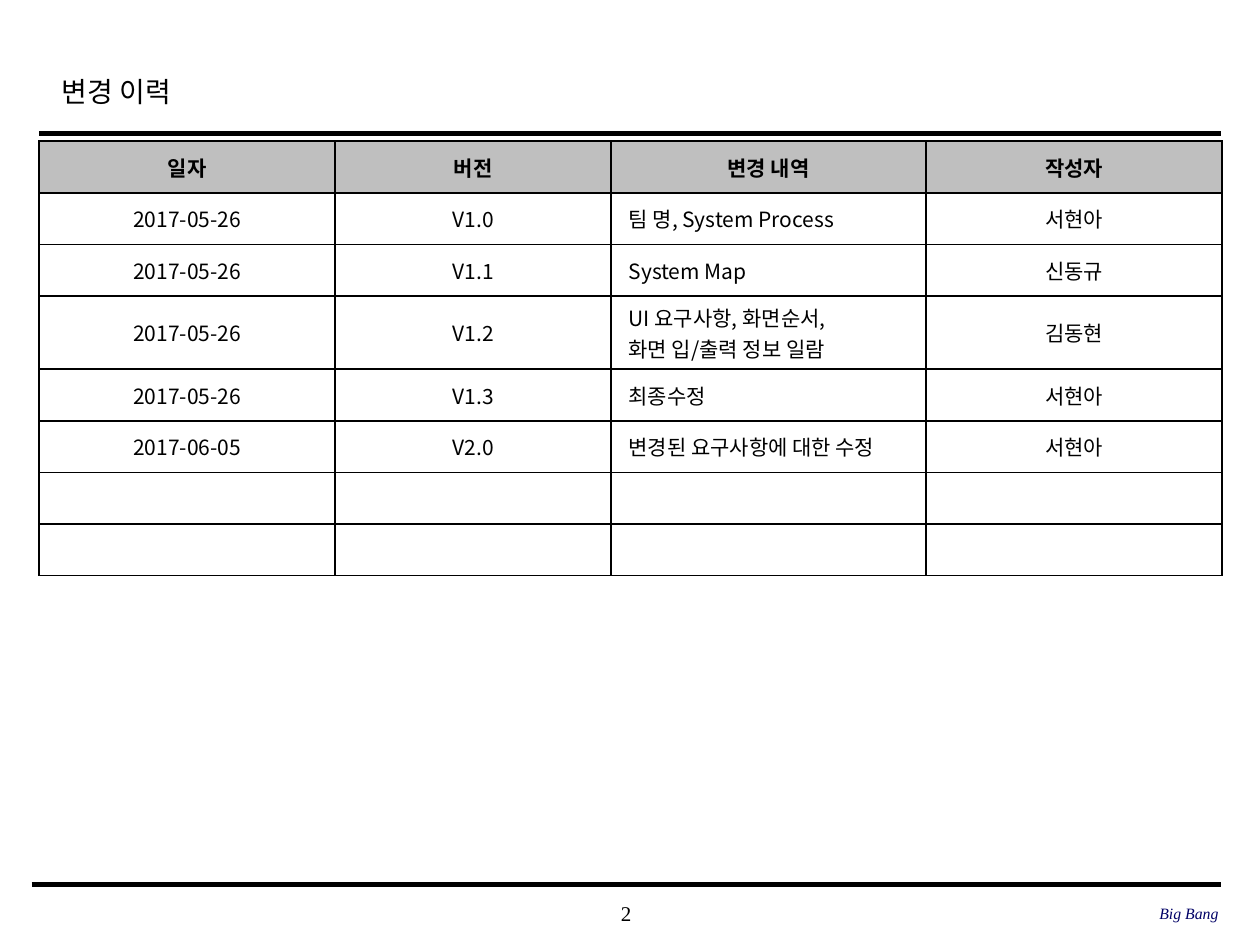
from lxml.etree import SubElement
from pptx import Presentation
from pptx.dml.color import RGBColor
from pptx.enum.shapes import MSO_CONNECTOR
from pptx.enum.text import MSO_ANCHOR, PP_ALIGN
from pptx.oxml.ns import qn
from pptx.util import Inches, Pt

BLACK = RGBColor(0x00, 0x00, 0x00)
WHITE = RGBColor(0xFF, 0xFF, 0xFF)
HEADER_GRAY = RGBColor(0xBF, 0xBF, 0xBF)
TEAM_NAVY = RGBColor(0x00, 0x00, 0x66)
SERIF = "Times New Roman"
KOREAN = "Noto Sans CJK KR"

COLUMN_WIDTHS = (2.35, 2.19, 2.5, 2.35)
ROW_HEIGHT = 0.41
TWO_LINE_HEIGHT = 0.58
DETAIL_COLUMN = 2
REVISIONS = (
    ("일자", "버전", "변경 내역", "작성자"),
    ("2017-05-26", "V1.0", "팀 명, System Process", "서현아"),
    ("2017-05-26", "V1.1", "System Map", "신동규"),
    ("2017-05-26", "V1.2", "UI 요구사항, 화면순서,\n화면 입/출력 정보 일람", "김동현"),
    ("2017-05-26", "V1.3", "최종수정", "서현아"),
    ("2017-06-05", "V2.0", "변경된 요구사항에 대한 수정", "서현아"),
    ("",) * 4,
    ("",) * 4,
)


def write_text(frame, text, size=12, font=SERIF, color=BLACK, bold=False,
               italic=False, align=PP_ALIGN.LEFT, spacing=None):
    frame.word_wrap = True
    frame.text = text
    for paragraph in frame.paragraphs:
        paragraph.alignment = align
        paragraph.line_spacing = spacing
        for run in paragraph.runs:
            run.font.size = Pt(size)
            run.font.name = font
            run.font.color.rgb = color
            run.font.bold = bold
            run.font.italic = italic
            SubElement(run.font._element, qn("a:ea"), typeface=KOREAN)


def add_title(slide, text):
    title = slide.shapes.title
    title.left, title.top = Inches(0.39), Inches(0.45)
    title.width, title.height = Inches(7.55), Inches(0.5)
    write_text(title.text_frame, text, size=16, spacing=1.2)
    title.text_frame.vertical_anchor = MSO_ANCHOR.MIDDLE


def add_rule(slide, left, right, y, weight):
    rule = slide.shapes.add_connector(
        MSO_CONNECTOR.STRAIGHT, Inches(left), Inches(y), Inches(right), Inches(y))
    rule.line.color.rgb = BLACK
    rule.line.width = Pt(weight)
    SubElement(rule._element.spPr, qn("a:effectLst"))


def add_footer(slide, left, top, width, height, text, **text_format):
    footer = slide.shapes.add_textbox(
        Inches(left), Inches(top), Inches(width), Inches(height))
    frame = footer.text_frame
    frame.margin_left = frame.margin_right = 0
    frame.margin_top = frame.margin_bottom = 0
    frame.vertical_anchor = MSO_ANCHOR.MIDDLE
    write_text(frame, text, **text_format)


def add_borders(cell):
    properties = cell._tc.get_or_add_tcPr()
    for position, side in enumerate(("a:lnL", "a:lnR", "a:lnT", "a:lnB")):
        border = SubElement(properties, qn(side), w=str(Pt(1)))
        fill = SubElement(border, qn("a:solidFill"))
        SubElement(fill, qn("a:srgbClr"), val=str(BLACK))
        properties.insert(position, border)


def format_cell(cell, text, is_header, is_detail):
    cell.fill.solid()
    cell.fill.fore_color.rgb = HEADER_GRAY if is_header else WHITE
    cell.vertical_anchor = MSO_ANCHOR.MIDDLE
    left_aligned = is_detail and not is_header
    if left_aligned:
        cell.margin_left = Inches(0.14)
    write_text(cell.text_frame, text, font=KOREAN, bold=is_header,
               align=PP_ALIGN.LEFT if left_aligned else PP_ALIGN.CENTER)
    add_borders(cell)


def add_revision_table(slide):
    row_heights = [TWO_LINE_HEIGHT if "\n" in revision[DETAIL_COLUMN] else ROW_HEIGHT
                   for revision in REVISIONS]
    history = slide.shapes.add_table(
        len(REVISIONS), len(COLUMN_WIDTHS), Inches(0.31), Inches(1.12),
        Inches(sum(COLUMN_WIDTHS)), Inches(sum(row_heights))).table
    history.horz_banding = False
    history.first_row = False
    for column, width in zip(history.columns, COLUMN_WIDTHS):
        column.width = Inches(width)
    for row_index, revision in enumerate(REVISIONS):
        history.rows[row_index].height = Inches(row_heights[row_index])
        for column_index, text in enumerate(revision):
            format_cell(history.cell(row_index, column_index), text,
                        row_index == 0, column_index == DETAIL_COLUMN)


def main():
    presentation = Presentation()
    presentation.slide_width = Inches(10)
    presentation.slide_height = Inches(7.5)
    slide = presentation.slides.add_slide(presentation.slide_layouts[5])
    add_footer(slide, 3.93, 7.08, 2.08, 0.33, "2", align=PP_ALIGN.CENTER)
    add_rule(slide, 0.31, 9.69, 1.06, 2.5)
    add_rule(slide, 0.25, 9.69, 7.02, 3)
    add_title(slide, "변경 이력")
    add_revision_table(slide)
    add_footer(slide, 6.63, 7.13, 3.04, 0.24, "Big Bang", size=9,
               color=TEAM_NAVY, italic=True, align=PP_ALIGN.RIGHT)
    presentation.save("out.pptx")


if __name__ == "__main__":
    main()
